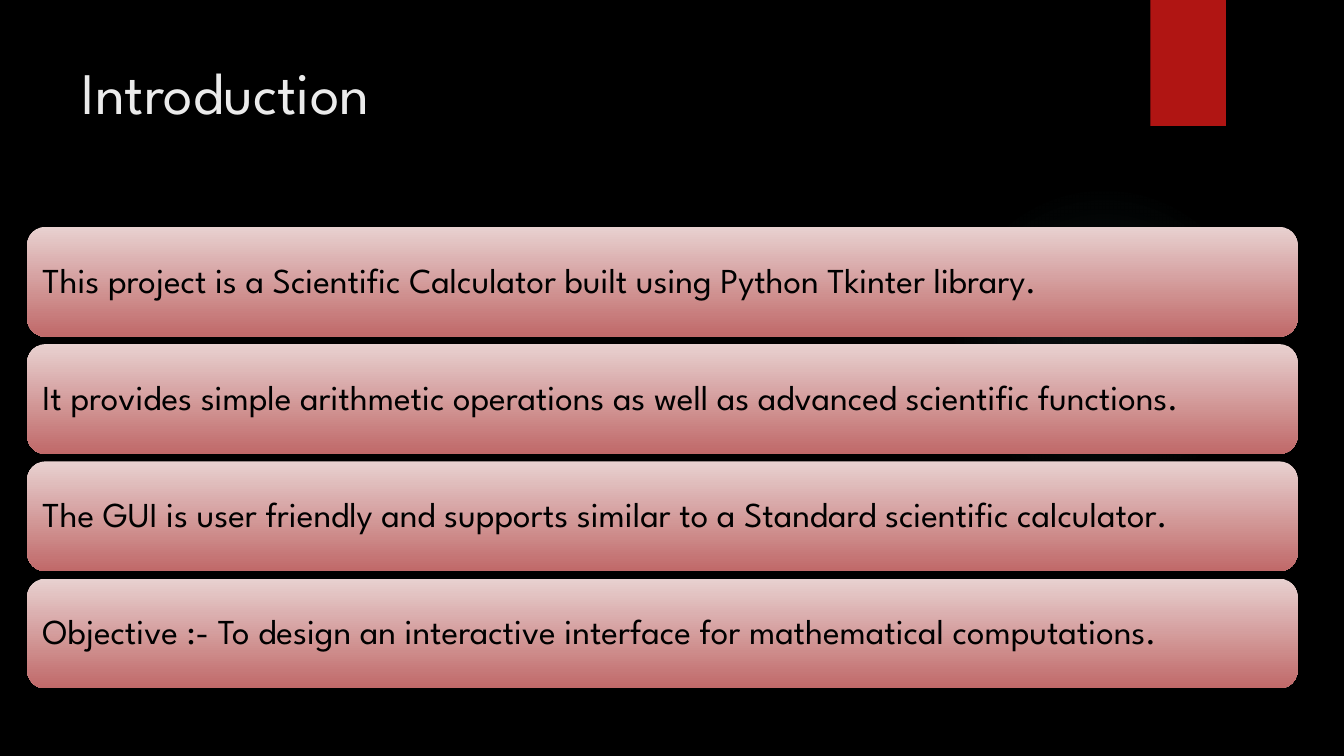
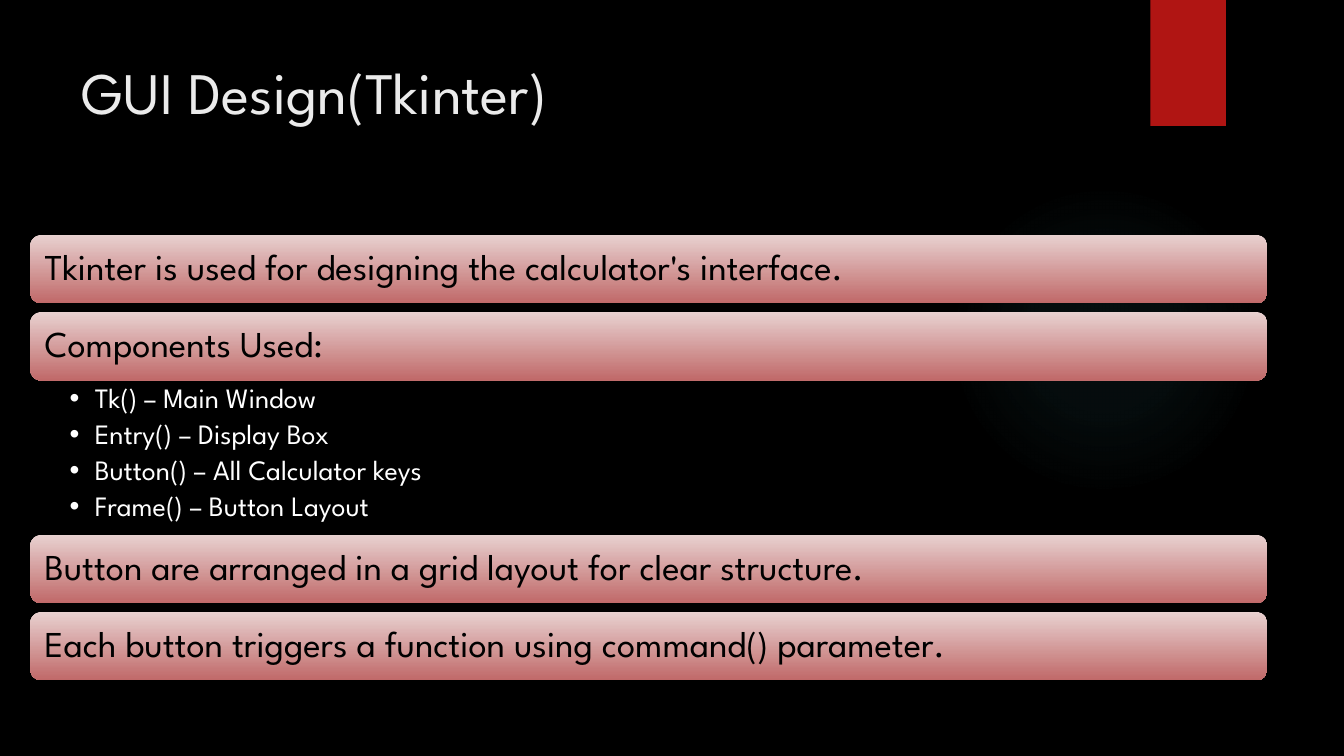
from dataclasses import dataclass

from pptx import Presentation
from pptx import util as u
from pptx.dml import color
from pptx.enum import shapes, text
from pptx.oxml import ns, parse_xml


@dataclass(frozen=True)
class Theme:
    """Colours, font and type sizes of the presentation."""

    font: str = "League Spartan"
    background: str = "000000"
    ribbon: str = "B01513"
    glow: str = "50B9C1"
    title: str = "EBEBEB"
    bar_top: str = "E8D1D0"
    bar_bottom: str = "C06969"
    bar_text: str = "000000"
    bullet_text: str = "FFFFFF"
    title_size: int = 42
    bullet_size: int = 20


@dataclass(frozen=True)
class Stack:
    """Geometry in inches and type size of a column of bars."""

    left: float
    top: float
    width: float
    bottom: float
    bar_height: float
    inset: float
    size: int
    bullets_height: float = 1.53


THEME = Theme()

INTRODUCTION = [
    "This project is a Scientific Calculator built using Python Tkinter library.",
    "It provides simple arithmetic operations as well as advanced scientific functions.",
    "The GUI is user friendly and supports similar to a Standard scientific calculator.",
    "Objective :- To design an interactive interface for mathematical computations.",
]
GUI_DESIGN = [
    "Tkinter is used for designing the calculator's interface.",
    "Components Used:",
    (
        "Tk() – Main Window",
        "Entry() – Display Box",
        "Button() – All Calculator keys",
        "Frame() – Button Layout",
    ),
    "Button are arranged in a grid layout for clear structure.",
    "Each button triggers a function using command() parameter.",
]


def rgb(value):
    """Turn a hex string into a colour."""
    return color.RGBColor.from_string(value)


def add_bullet(paragraph, indent=0.25):
    """Give a paragraph a hanging round bullet."""
    properties = paragraph._p.get_or_add_pPr()
    properties.set("marL", str(u.Inches(indent)))
    properties.set("indent", str(-u.Inches(indent)))
    for tag in ('buFont typeface="Arial"', 'buChar char="•"'):
        properties.append(parse_xml(f"<a:{tag} {ns.nsdecls('a')}/>"))


def write_text(frame, *lines, size, ink, margins=(0.1, 0.05, 0.1, 0.05),
               anchor=text.MSO_ANCHOR.TOP, line_spacing=None, space_after=0,
               bullets=False):
    """Fill a text frame with one formatted paragraph per line."""
    frame.word_wrap = True
    frame.vertical_anchor = anchor
    (frame.margin_left, frame.margin_top,
     frame.margin_right, frame.margin_bottom) = map(u.Inches, margins)
    for index, line in enumerate(lines):
        paragraph = frame.add_paragraph() if index else frame.paragraphs[0]
        paragraph.alignment = text.PP_ALIGN.LEFT
        paragraph.line_spacing = line_spacing
        paragraph.space_after = u.Pt(space_after)
        if bullets:
            paragraph.level = 1
            add_bullet(paragraph)
        run = paragraph.add_run()
        run.text = line
        run.font.name = THEME.font
        run.font.size = u.Pt(size)
        run.font.color.rgb = rgb(ink)


def add_plain_shape(slide, kind, left, top, width, height):
    """Add a preset shape without outline or shadow."""
    shape = slide.shapes.add_shape(kind, *map(u.Inches, (left, top, width, height)))
    shape.shadow.inherit = False
    shape.line.fill.background()
    return shape


def add_glow(slide):
    """Add the faint radial glow."""
    glow = add_plain_shape(slide, shapes.MSO_SHAPE.OVAL, 9.41, 1.83, 3.08, 3.08)
    stops = "".join(
        f'<a:gs pos="{position * 1000}"><a:srgbClr val="{THEME.glow}">'
        f'<a:alpha val="{alpha * 1000}"/></a:srgbClr></a:gs>'
        for position, alpha in ((0, 7), (36, 6), (69, 0), (100, 0))
    )
    gradient = parse_xml(
        f'<a:gradFill {ns.nsdecls("a")}><a:gsLst>{stops}</a:gsLst><a:path path="circle">'
        '<a:fillToRect l="50000" t="50000" r="50000" b="50000"/></a:path></a:gradFill>'
    )
    glow.fill.background()
    properties = glow.element.spPr
    properties.replace(properties.find(ns.qn("a:noFill")), gradient)
    return glow


def add_ribbon(slide):
    """Add the red ribbon with its soft shadow."""
    ribbon = add_plain_shape(slide, shapes.MSO_SHAPE.RECTANGLE, 11.41, 0, 0.75, 1.25)
    ribbon.fill.solid()
    ribbon.fill.fore_color.rgb = rgb(THEME.ribbon)
    ribbon.element.spPr.find(ns.qn("a:effectLst")).append(parse_xml(
        f'<a:outerShdw {ns.nsdecls("a")} blurRad="{u.Pt(3)}" dist="{u.Pt(2)}" '
        'dir="5400000" rotWithShape="0"><a:srgbClr val="000000">'
        '<a:alpha val="45000"/></a:srgbClr></a:outerShdw>'
    ))
    return ribbon


def decorate_layout(layout, slide):
    """Set the shared background and move the decorations onto the layout."""
    layout.background.fill.solid()
    layout.background.fill.fore_color.rgb = rgb(THEME.background)
    for number, shape in enumerate((add_glow(slide), add_ribbon(slide)), start=101):
        shape.element.nvSpPr.cNvPr.set("id", str(number))
        layout.shapes.element.append(shape.element)


def set_title(slide, title):
    """Place and format the title placeholder."""
    shape = slide.shapes.title
    shape.left, shape.top, shape.width, shape.height = map(
        u.Inches, (0.71, 0.5, 10.29, 1.53))
    write_text(shape.text_frame, title, size=THEME.title_size, ink=THEME.title)


def add_bar(slide, stack, top, line):
    """Add one gradient bar with its sentence."""
    bar = add_plain_shape(slide, shapes.MSO_SHAPE.ROUNDED_RECTANGLE,
                          stack.left, top, stack.width, stack.bar_height)
    bar.fill.gradient()
    bar.fill.gradient_angle = 270
    for stop, position, value in zip(bar.fill.gradient_stops, (0, 1),
                                     (THEME.bar_top, THEME.bar_bottom)):
        stop.position = position
        stop.color.rgb = rgb(value)
    write_text(bar.text_frame, line, size=stack.size, ink=THEME.bar_text,
               margins=(stack.inset,) * 4, anchor=text.MSO_ANCHOR.MIDDLE,
               line_spacing=0.9)


def add_bullets(slide, stack, top, lines):
    """Add the bulleted list that belongs to the bar above it."""
    box = slide.shapes.add_textbox(*map(
        u.Inches, (stack.left, top, stack.width, stack.bullets_height)))
    write_text(box.text_frame, *lines, size=THEME.bullet_size, ink=THEME.bullet_text,
               margins=(0.39, 0.04, 0.2, 0.04), line_spacing=0.9, space_after=4,
               bullets=True)


def add_stack(slide, stack, items):
    """Stack bars and lists, with equal gaps between neighbouring bars."""
    is_bar = [isinstance(item, str) for item in items]
    heights = [stack.bar_height if bar else stack.bullets_height for bar in is_bar]
    gapped = [bar and following for bar, following in zip(is_bar, is_bar[1:])] + [False]
    gap = (stack.bottom - stack.top - sum(heights)) / sum(gapped)
    top = stack.top
    for item, bar, height, has_gap in zip(items, is_bar, heights, gapped):
        add_item = add_bar if bar else add_bullets
        add_item(slide, stack, top, item)
        top += height + gap * has_gap


def main():
    """Build and save the presentation."""
    presentation = Presentation()
    presentation.slide_width = u.Inches(13.33)
    presentation.slide_height = u.Inches(7.5)
    layout = presentation.slide_layouts.get_by_name("Title Only")

    introduction = presentation.slides.add_slide(layout)
    decorate_layout(layout, introduction)
    set_title(introduction, "Introduction")
    add_stack(introduction, Stack(left=0.27, top=2.25, width=12.6, bottom=6.83,
                                  bar_height=1.09, inset=0.1, size=25), INTRODUCTION)

    gui_design = presentation.slides.add_slide(layout)
    set_title(gui_design, "GUI Design(Tkinter)")
    add_stack(gui_design, Stack(left=0.3, top=2.33, width=12.27, bottom=6.75,
                                bar_height=0.68, inset=0.11, size=26), GUI_DESIGN)

    presentation.save("out.pptx")


if __name__ == "__main__":
    main()
